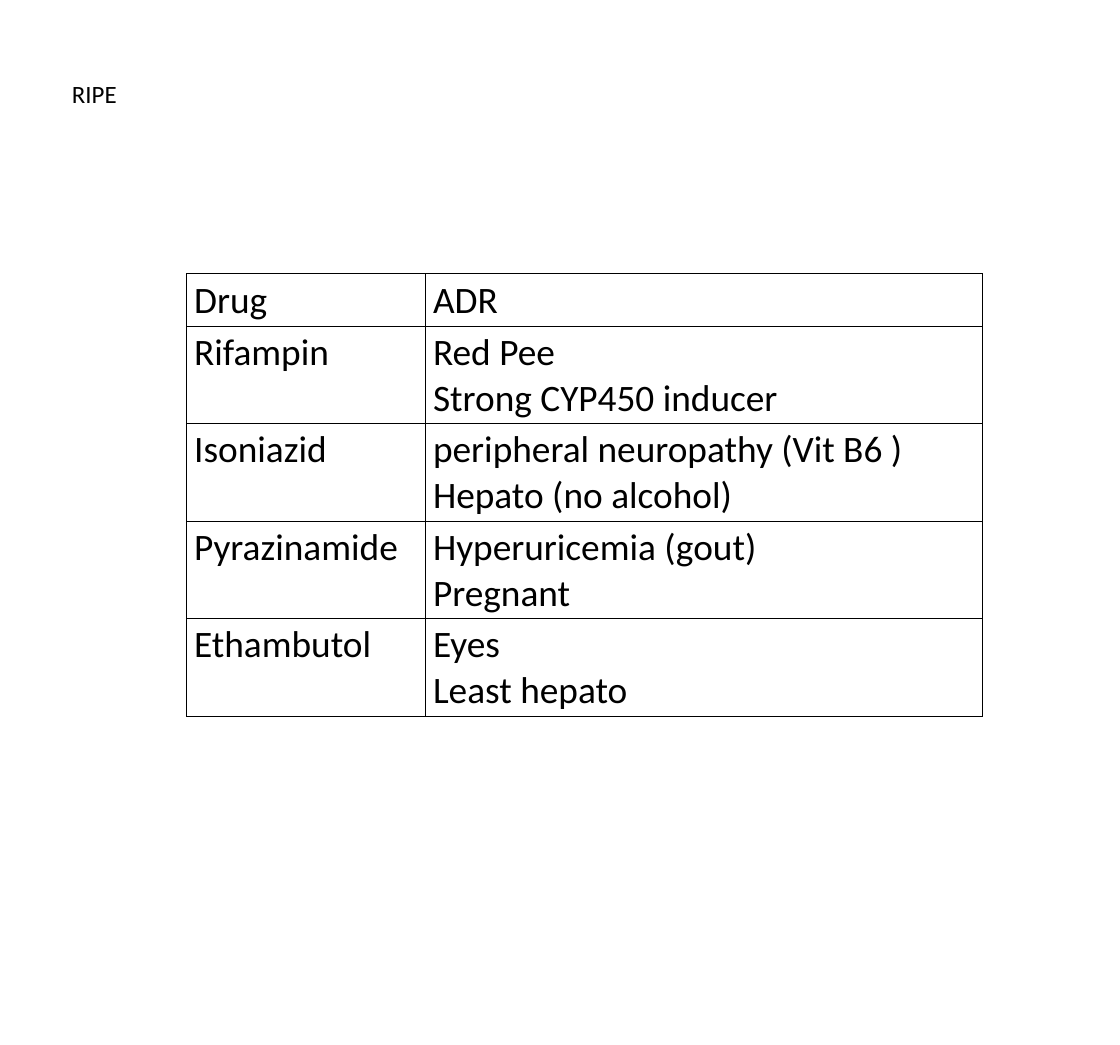
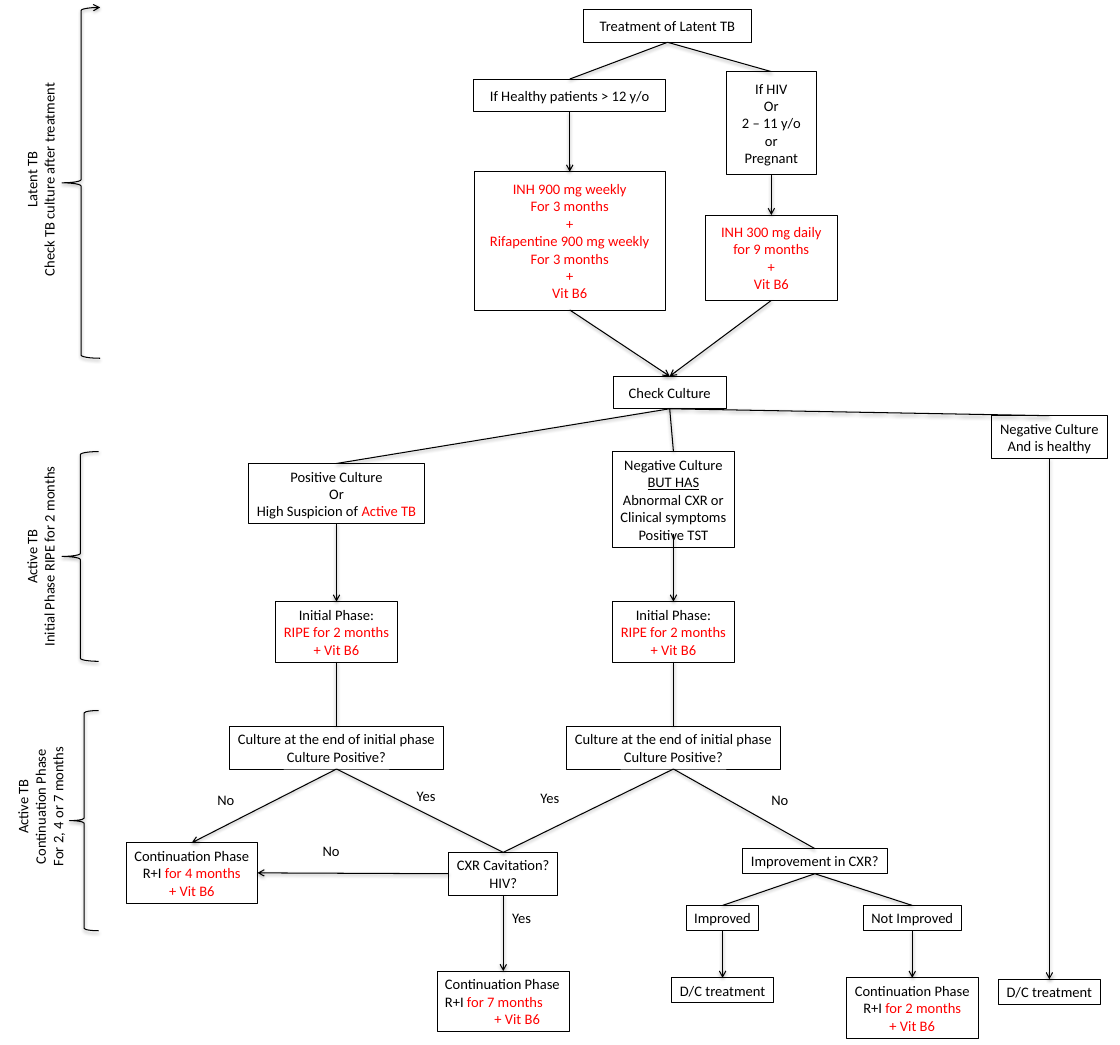
from lxml.etree import SubElement as Sub
from pptx import Presentation
from pptx.dml.color import RGBColor as RGB
from pptx.enum.shapes import MSO_CONNECTOR as Conn, MSO_SHAPE as Kind
from pptx.enum.text import MSO_ANCHOR as Anchor, MSO_AUTO_SIZE as Fit, PP_ALIGN as Align
from pptx.oxml.ns import qn
from pptx.util import Pt

FONT = "Calibri"
HUES = {"ink": "000000", "red": "FF0000"}
TITLE = "RIPE"
DRUGS = [
    ("Drug", ["ADR"]),
    ("Rifampin", ["Red Pee", "Strong CYP450 inducer"]),
    ("Isoniazid", ["peripheral neuropathy (Vit B6 )", "Hepato (no alcohol)"]),
    ("Pyrazinamide", ["Hyperuricemia (gout)", "Pregnant"]),
    ("Ethambutol", ["Eyes", "Least hepato"]),
]

# Text after "|" is red; a leading "_" underlines the line.
START = ["Initial Phase:", "|RIPE for 2 months", "|+ Vit B6"]
END = ["Culture at the end of initial phase", "Culture Positive?"]
STOP = ["D/C treatment"]


def go_on(span):
    return ["Continuation Phase", f"R+I |for {span} months", "|+ Vit B6"]


WIDE = {
    "latent": (643.7, 9.4, 162.7, ["Treatment of Latent TB"]),
    "hiv": (743.8, 69.1, 86.4, ["If HIV", "Or", "2 – 11 y/o", "or", "Pregnant"]),
    "fit": (549.4, 76.3, 185, ["If Healthy patients > 12 y/o"]),
    "weekly": (549.4, 165.6, 184.3, [
        "|INH 900 mg weekly", "|For 3 months", "|+",
        "|Rifapentine 900 mg weekly", "|For 3 months", "|+", "|Vit B6"]),
    "daily": (743.8, 207.4, 126.7, [
        "|INH 300 mg daily", "|for 9 months", "|+", "|Vit B6"]),
    "check": (645.8, 362.9, 108.7, ["Check Culture"]),
}
SLIM = {
    "pos": (324.5, 447.1, 169.2, [
        "Positive Culture", "Or", "High Suspicion of |Active TB"]),
    "but": (649.4, 435.6, 118.1, [
        "Negative Culture", "_BUT HAS", "Abnormal CXR or",
        "Clinical symptoms", "Positive TST"]),
    "well": (1011.9, 401, 111.6, ["Negative Culture", "And is healthy"]),
    "start a": (324.5, 580.3, 117.4, START),
    "start b": (649.4, 580.3, 117.4, START),
    "end a": (324.5, 700.6, 206.6, END),
    "end b": (649.4, 700.6, 206.6, END),
    "four": (185, 812.9, 126.7, go_on(4)),
    "cxr": (485.3, 822.2, 105.1, ["CXR Cavitation?", "HIV?"]),
    "seven": (485.3, 936.7, 126.7, go_on(7)),
    "gain": (785.8, 818.6, 139, ["Improvement in CXR?"]),
    "yes": (696.8, 873.4, 69.8, ["Improved"]),
    "no": (879.7, 873.4, 94.3, ["Not Improved"]),
    "stop a": (696.8, 943.2, 97.9, STOP),
    "stop b": (1011.9, 944.6, 97.9, STOP),
    "two": (879.7, 943.2, 126.7, go_on(2)),
}
LINES = [
    ("latent", "fit"), ("latent", "hiv"), ("check", "pos"), ("check", "but"),
    ("check", "well"), ("start a", "end a"), ("start b", "end b"),
    ("end a", "cxr"), ("end b", "cxr"), ("end b", "gain"),
    ("gain", "yes"), ("gain", "no"),
]
ARROWS = [
    ("fit", "weekly"), ("hiv", "daily"), ("weekly", "check"), ("daily", "check"),
    ("pos", "start a"), ("end a", "four"), ("cxr", "seven"),
    ("yes", "stop a"), ("no", "two"), ("well", "stop b"),
]
NOTES = [
    ("Yes", 410.8, 755.3), ("No", 217.8, 759.6), ("Yes", 502.9, 873.4),
    ("No", 319.3, 808.6), ("Yes", 530.3, 757.4), ("No", 752, 759.6),
]
PHASES = [
    (59.8, 7.2, 36.7, 338.4, 173.2, 203,
     ["Latent TB", "Check TB culture after treatment"]),
    (59.8, 435.6, 35.3, 202.3, 536.8, 190,
     ["Active TB", "Initial Phase RIPE for 2 months"]),
    (67, 685.4, 28.1, 212.4, 778, 130.3,
     ["Active TB", "Continuation Phase", "For 2, 4 or 7 months"]),
]
TOP, LEFT, BASE, RIGHT = range(4)
ROW, PAD = 17, 3.6


def hue(name):
    return RGB.from_string(HUES[name])


def write(frame, lines, size=14, align=Align.CENTER):
    for i, line in enumerate(lines):
        para = frame.paragraphs[0] if i == 0 else frame.add_paragraph()
        plain, _, red = line.partition("|")
        para.alignment = align
        font = para.font
        font.name, font.size = FONT, Pt(size)
        font.color.rgb = hue("ink" if plain else "red")
        if plain:
            run = para.add_run()
            run.text = plain.lstrip("_")
            if plain.startswith("_"):
                run.font.underline = True
        if red:
            run = para.add_run()
            run.text = red
            if plain:
                run.font.color.rgb = hue("red")


def hug(frame, pad=PAD):
    frame.word_wrap = False
    frame.auto_size = Fit.SHAPE_TO_FIT_TEXT
    frame.margin_left = frame.margin_right = Pt(2 * pad)
    frame.margin_top = frame.margin_bottom = Pt(pad)


def ink(shape, width):
    shape.line.color.rgb = hue("ink")
    shape.line.width = Pt(width)


def shade(shape):
    glow = Sub(shape._element.spPr, qn("a:effectLst"))
    cast = Sub(glow, qn("a:outerShdw"), blurRad="40000", dist="20000",
               dir="5400000", rotWithShape="0")
    tone = Sub(cast, qn("a:srgbClr"), val=HUES["ink"])
    Sub(tone, qn("a:alpha"), val="38000")


def point(shape):
    Sub(shape._element.spPr.find(qn("a:ln")), qn("a:tailEnd"), type="arrow")


def add_box(mid, top, width, lines, pad):
    box = flow.add_shape(Kind.RECTANGLE, Pt(mid - width / 2), Pt(top),
                         Pt(width), Pt(ROW * len(lines) + 2 * pad))
    box.fill.background()
    ink(box, 0.75)
    box.shadow.inherit = False
    box.text_frame.vertical_anchor = Anchor.MIDDLE
    hug(box.text_frame, pad)
    write(box.text_frame, lines)
    return box


def add_note(mid, top, width, lines):
    note = flow.add_textbox(Pt(mid - width / 2), Pt(top), Pt(width),
                            Pt(ROW * len(lines) + 2 * PAD))
    hug(note.text_frame)
    write(note.text_frame, lines)
    return note


def add_link(end, site=TOP, start=None, out=BASE, spot=(0, 0), arrow=False):
    link = flow.add_connector(Conn.STRAIGHT, *map(Pt, spot), *map(Pt, spot))
    if start:
        link.begin_connect(boxes[start], out)
    link.end_connect(boxes[end], site)
    ink(link, 1)
    if arrow:
        point(link)
    shade(link)


def add_edge(cell):
    props = cell._tc.get_or_add_tcPr()
    for side in ("lnL", "lnR", "lnT", "lnB"):
        edge = Sub(props, qn("a:" + side), w=str(Pt(1)))
        fill = Sub(edge, qn("a:solidFill"))
        Sub(fill, qn("a:srgbClr"), val=HUES["ink"])


deck = Presentation()
deck.slide_width, deck.slide_height = Pt(1080), Pt(1008)

slide = deck.slides.add_slide(deck.slide_layouts[5])
head = slide.shapes.title
head.left, head.top, head.width, head.height = map(Pt, (62, 72, 58, 36))
hug(head.text_frame)
write(head.text_frame, [TITLE], 24)

grid = slide.shapes.add_table(len(DRUGS), 2, Pt(180), Pt(264.2),
                              Pt(767.5), Pt(426.5)).table
grid.first_row = grid.horz_banding = False
for col, width in zip(grid.columns, (230.4, 537.1)):
    col.width = Pt(width)
for r, (drug, harms) in enumerate(DRUGS):
    grid.rows[r].height = Pt(7 + 43.5 * len(harms))
    for c, lines in enumerate(([drug], harms)):
        cell = grid.cell(r, c)
        add_edge(cell)
        cell.fill.background()
        write(cell.text_frame, lines, 36, Align.LEFT)

flow = deck.slides.add_slide(deck.slide_layouts[6]).shapes
boxes = {}
for group, pad in ((WIDE, 2 * PAD), (SLIM, PAD)):
    for name, spot in group.items():
        boxes[name] = add_box(*spot, pad)
*first, last = boxes["seven"].text_frame.paragraphs
for para in first:
    para.alignment = Align.LEFT
last._p.get_or_add_pPr().set("marL", str(Pt(28.5)))

for pairs, arrow in ((LINES, False), (ARROWS, True)):
    for start, end in pairs:
        add_link(end, start=start, arrow=arrow)
add_link("four", RIGHT, "cxr", LEFT, arrow=True)
add_link("start b", spot=(649.4, 514.8), arrow=True)

for word, mid, top in NOTES:
    add_note(mid, top, 34 if word == "Yes" else 31, [word])

for i, (left, top, width, high, mid, span, lines) in enumerate(PHASES):
    brace = flow.add_shape(Kind.LEFT_BRACE, *map(Pt, (left, top, width, high)))
    brace.fill.background()
    ink(brace, 1)
    if i == 0:
        point(brace)
    shade(brace)
    tall = ROW * len(lines) + 2 * PAD
    add_note(39, mid - tall / 2, span, lines).rotation = 270

deck.save("out.pptx")
